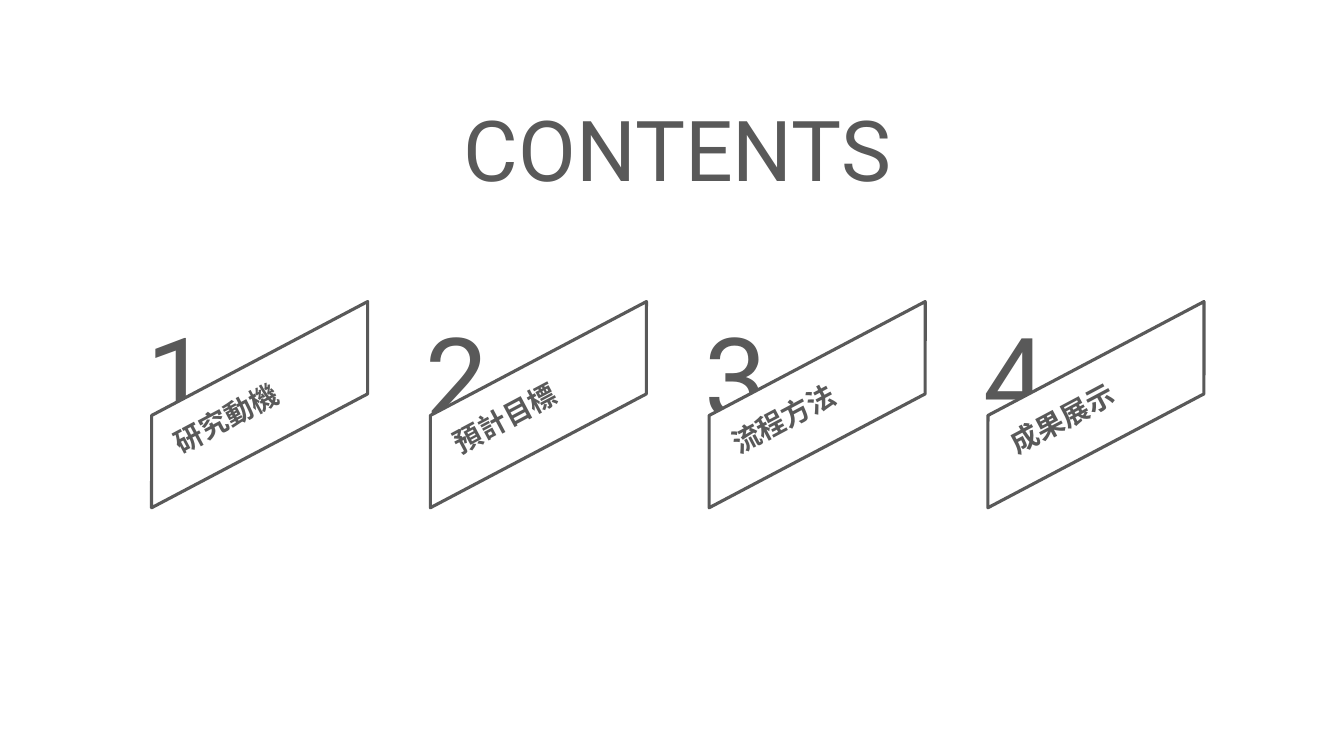
from pptx import Presentation
from pptx import util as u
from pptx.dml.color import RGBColor
from pptx.enum import shapes, text

COLORS = {"ink": "595959", "paper": "FFFFFF"}
FONT = "Roboto"
# Label, label width, label top within its item
CHAPTERS = [
    ("研究動機", 1.99, 0.78),
    ("預計目標", 1.99, 0.78),
    ("流程方法", 1.94, 0.80),
    ("成果展示", 1.92, 0.80),
]
FIRST_LEFT, ITEM_TOP, ITEM_STEP = 1.15, 2.99, 2.765


def color(name):
    return RGBColor.from_string(COLORS[name])


def write(box, words, size, align, bold=False):
    """Fill a text shape with one formatted line."""
    frame = box.text_frame
    frame.word_wrap = True
    frame.vertical_anchor = text.MSO_ANCHOR.TOP
    frame.text = words
    para = frame.paragraphs[0]
    para.alignment = align
    font = para.runs[0].font
    font.name, font.size, font.bold = FONT, u.Pt(size), bold
    font.color.rgb = color("ink")


def add_text(page, left, top, width, height, words, size, align, bold=False):
    box = page.shapes.add_textbox(
        u.Inches(left), u.Inches(top), u.Inches(width), u.Inches(height))
    write(box, words, size, align, bold)
    return box


def place_title(page, left, top, width, height):
    title = page.shapes.title
    title.left, title.top = u.Inches(left), u.Inches(top)
    title.width, title.height = u.Inches(width), u.Inches(height)
    write(title, "CONTENTS", 60, text.PP_ALIGN.CENTER)
    title.text_frame.auto_size = text.MSO_AUTO_SIZE.NONE


def add_chapter(page, left, top, number, label, label_width, label_top):
    # Number, partly hidden by the banner
    add_text(page, left + 0.04, top, 1.16, 1.45, str(number), 80,
             text.PP_ALIGN.CENTER)

    # Slanted banner
    banner = page.shapes.add_shape(
        shapes.MSO_SHAPE.PARALLELOGRAM, u.Inches(left), u.Inches(top + 0.62),
        u.Inches(2.85), u.Inches(0.81))
    banner.adjustments[0] = 0.528
    banner.rotation = 332.2
    banner.shadow.inherit = False
    banner.fill.solid()
    banner.fill.fore_color.rgb = color("paper")
    banner.line.color.rgb = color("ink")
    banner.line.width = u.Pt(2.25)

    # Label along the banner
    caption = add_text(page, left + 0.4, top + label_top, label_width, 0.44,
                       label, 20, text.PP_ALIGN.JUSTIFY, bold=True)
    caption.rotation = 332


def main():
    deck = Presentation()
    deck.slide_width, deck.slide_height = u.Inches(13.33), u.Inches(7.5)
    page = deck.slides.add_slide(deck.slide_layouts.get_by_name("Title Only"))
    page.background.fill.solid()
    page.background.fill.fore_color.rgb = color("paper")

    place_title(page, 3.83, 0.92, 5.78, 1.11)
    for index, chapter in enumerate(CHAPTERS):
        add_chapter(page, FIRST_LEFT + index * ITEM_STEP, ITEM_TOP,
                    index + 1, *chapter)
    deck.save("out.pptx")


if __name__ == "__main__":
    main()
